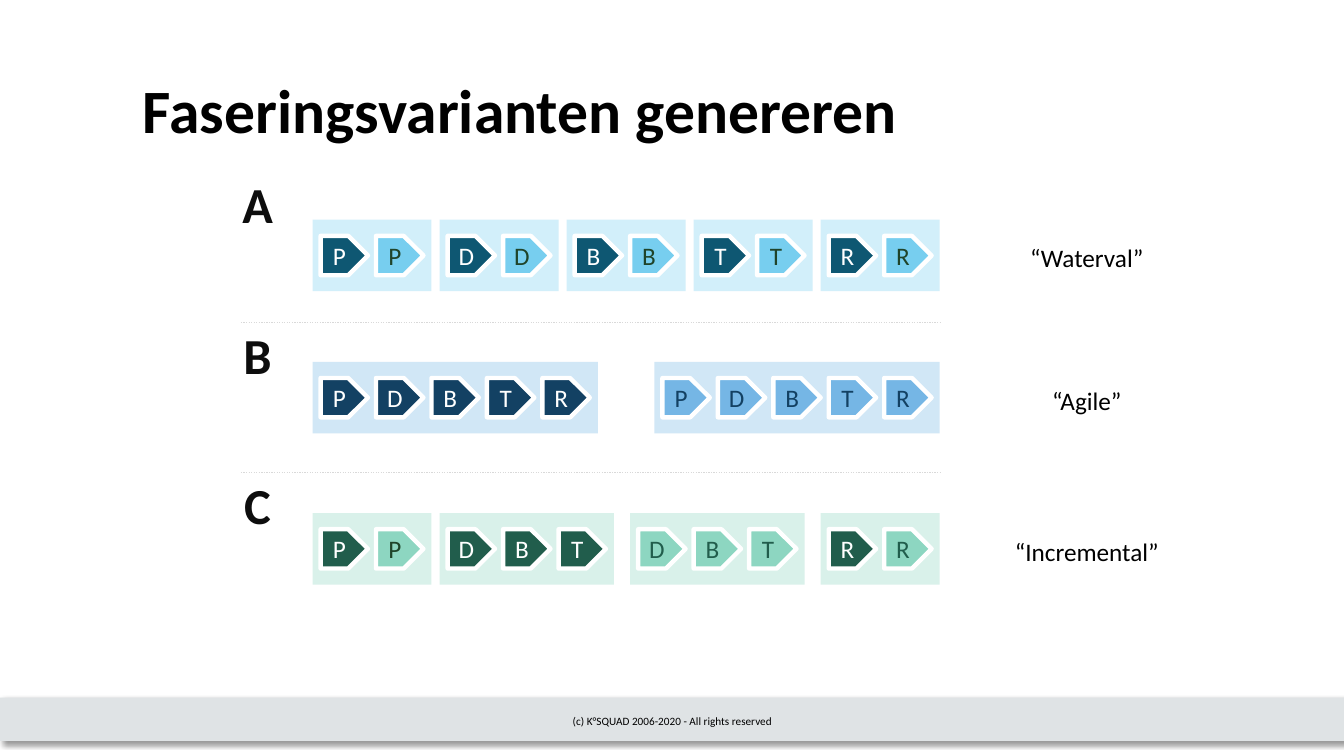
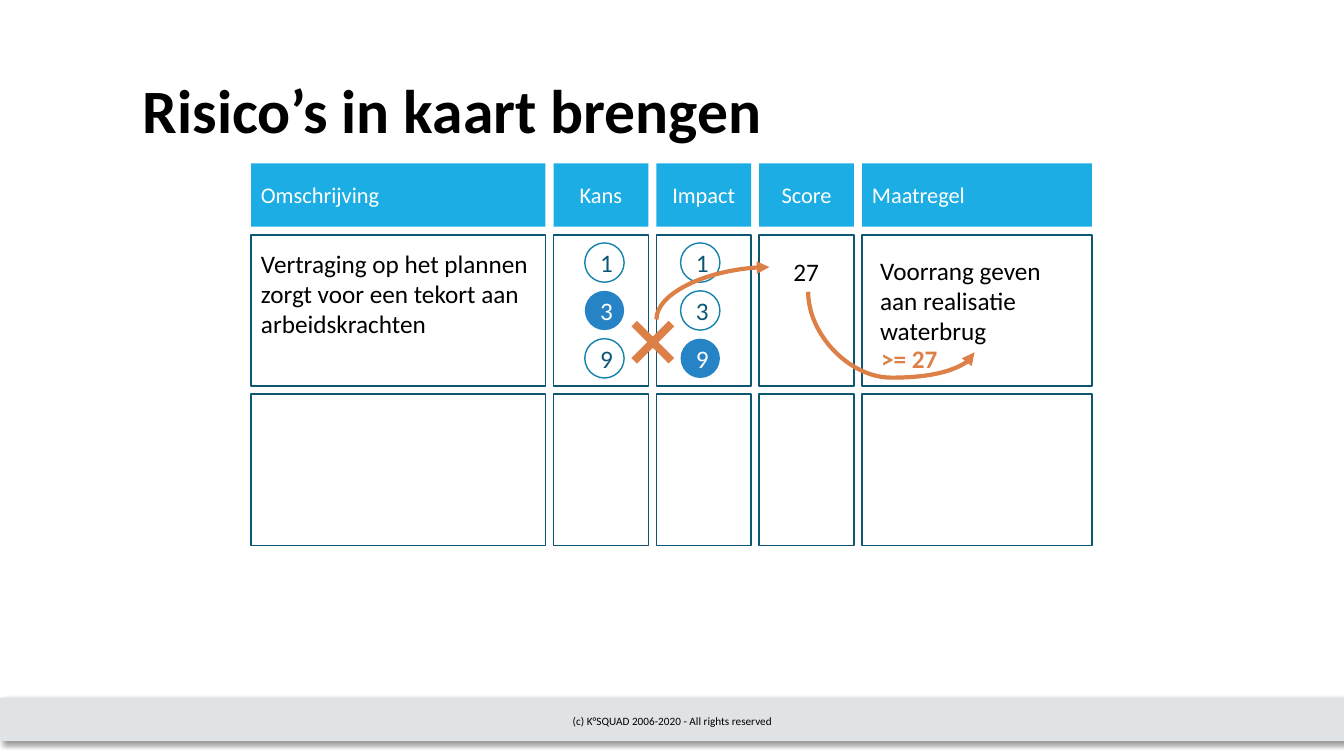
from lxml import etree
from pptx import Presentation
from pptx.dml.color import RGBColor
from pptx.enum import dml, shapes, text
from pptx.oxml import ns
from pptx.util import Inches, Pt

FONT = "Calibri"
BLACK, WHITE = "000000", "FFFFFF"
FOOTER_BAND, DIVIDER = "DFE3E5", "D9D9D9"
TEAL, SKY, ACCENT, ORANGE = "0E5772", "1CADE4", "2683C6", "DD8047"
FOREST = "1F442A"
LEFT, CENTER = text.PP_ALIGN.LEFT, text.PP_ALIGN.CENTER
TOP, MIDDLE = text.MSO_ANCHOR.TOP, text.MSO_ANCHOR.MIDDLE
SHAPE = shapes.MSO_SHAPE


def rgb(hex_color):
    return RGBColor.from_string(hex_color)


def add_xml(parent, tag, **attributes):
    return etree.SubElement(parent, ns.qn(tag), attributes)


class Deck:
    """Holds the presentation, its style and the current slide."""

    def __init__(self):
        self.prs = Presentation()
        self.prs.slide_width, self.prs.slide_height = Inches(13.33), Inches(7.5)
        self.slide = None

    def new_slide(self, title):
        self.slide = self.prs.slides.add_slide(self.prs.slide_layouts[6])
        band = self.shape(SHAPE.RECTANGLE, 0, 6.92, 13.33, 0.43, fill=FOOTER_BAND)
        shadow = add_xml(band._element.spPr.find(ns.qn("a:effectLst")), "a:outerShdw",
                         blurRad=str(Pt(4)), dist=str(Pt(3)), dir="2700000",
                         algn="tl", rotWithShape="0")
        add_xml(add_xml(shadow, "a:srgbClr", val=BLACK), "a:alpha", val="40000")
        heading = self.label(title, 1.32, 0.4, 11.1, 1.45, size=44, bold=True, anchor=MIDDLE)
        heading.text_frame.paragraphs[0].line_spacing = 0.9
        self.label("(c) K°SQUAD 2006-2020 - All rights reserved", 4.42, 6.95, 4.5, 0.4,
                   size=8, align=CENTER, anchor=MIDDLE)

    def set_text(self, item, words, size, color, bold=False, align=LEFT, anchor=TOP,
                 inset=0.1, wrap=True):
        frame = item.text_frame
        frame.text = words
        frame.word_wrap = wrap
        frame.vertical_anchor = anchor
        frame.margin_left = frame.margin_right = Inches(inset)
        paragraph = frame.paragraphs[0]
        paragraph.alignment = align
        for run in paragraph.runs:
            run.font.name, run.font.size, run.font.bold = FONT, Pt(size), bold
            run.font.color.rgb = rgb(color)

    def label(self, words, left, top, width, height=0.4, size=18, color=BLACK, **style):
        box = self.slide.shapes.add_textbox(*map(Inches, (left, top, width, height)))
        self.set_text(box, words, size, color, **style)
        return box

    def shape(self, kind, left, top, width, height, fill=None, line=None, weight=1):
        item = self.slide.shapes.add_shape(kind, *map(Inches, (left, top, width, height)))
        item.shadow.inherit = False
        if fill:
            item.fill.solid()
            item.fill.fore_color.rgb = rgb(fill)
        else:
            item.fill.background()
        if line:
            item.line.color.rgb = rgb(line)
            item.line.width = Pt(weight)
        else:
            item.line.fill.background()
        return item

    def phase(self, letter, left, top, fill, ink):
        arrow = self.shape(SHAPE.PENTAGON, left, top, 0.47, 0.39, fill, WHITE, 3.15)
        self.set_text(arrow, letter, 18, ink, align=CENTER, anchor=MIDDLE, inset=0)

    def phase_group(self, letters, left, top, band, dark, light, light_ink):
        """Draw a band of phases; capitals are dark phases, small letters light ones."""
        pad, width, step = 0.08, 0.47, 0.55
        self.shape(SHAPE.RECTANGLE, left, top,
                   2 * pad + width + step * (len(letters) - 1), 0.71, band)
        for i, letter in enumerate(letters):
            fill, ink = (dark, WHITE) if letter.isupper() else (light, light_ink)
            self.phase(letter.upper(), left + pad + step * i, top + 0.16, fill, ink)

    def circle(self, words, left, top, chosen):
        fill, line, ink = (ACCENT, None, WHITE) if chosen else (WHITE, "1482AC", TEAL)
        disc = self.shape(SHAPE.OVAL, left, top, 0.39, 0.39, fill, line)
        self.set_text(disc, words, 18, ink, align=CENTER, anchor=MIDDLE, inset=0)
        disc.text_frame.margin_left = Inches(0.04)

    def line(self, start, end, color, weight, kind=shapes.MSO_CONNECTOR.STRAIGHT):
        link = self.slide.shapes.add_connector(kind, *map(Inches, (*start, *end)))
        link.line.color.rgb = rgb(color)
        link.line.width = Pt(weight)
        add_xml(link._element.spPr, "a:effectLst")
        return link

    def curved_arrow(self, start, end, turn, preset, bend=None):
        """Draw a curve whose box, given before rotation, is turned by some degrees."""
        arrow = self.line(start, end, ORANGE, 3, shapes.MSO_CONNECTOR.CURVE)
        props = arrow._element.spPr
        props.find(ns.qn("a:xfrm")).set("rot", str(turn * 60000))
        geometry = props.find(ns.qn("a:prstGeom"))
        geometry.set("prst", preset)
        if bend:
            add_xml(geometry.find(ns.qn("a:avLst")), "a:gd", name="adj1",
                    fmla=f"val {round(bend * 100000)}")
        add_xml(props.find(ns.qn("a:ln")), "a:tailEnd", type="triangle")


def phasing_slide(deck):
    deck.new_slide("Faseringsvarianten genereren")
    variants = [
        ("A", "“Waterval”", 1.7, 2.18, ("D2EFFA", TEAL, "77CEEF"),
         [(pair, 3.1 + 1.26 * i, FOREST)
          for i, pair in enumerate(("Pp", "Dd", "Bb", "Tt", "Rr"))]),
        ("B", "“Agile”", 3.2, 3.59, ("D1E7F6", "134163", "75B6E5"),
         [("PDBTR", 3.1, "134163"), ("pdbtr", 6.49, "134163")]),
        ("C", "“Incremental”", 4.69, 5.09, ("D9F1EA", "215D4C", "8DD6C1"),
         [("Pp", 3.1, FOREST), ("DBT", 4.36, "215D4C"),
          ("dbt", 6.25, "215D4C"), ("Rr", 8.14, "215D4C")]),
    ]
    for letter, name, row_top, band_top, colors, groups in variants:
        if letter != "A":
            divider = deck.line((2.39, row_top), (9.32, row_top), DIVIDER, 0.9)
            divider.line.dash_style = dml.MSO_LINE.ROUND_DOT
        deck.label(letter, 2.24, row_top, 0.63, 0.63, size=36, bold=True, color="0D0D0D",
                   align=CENTER, anchor=MIDDLE, inset=0)
        for letters, left, light_ink in groups:
            deck.phase_group(letters, left, band_top, *colors, light_ink)
        deck.label(name, 9.96, band_top + 0.18, 1.64, align=CENTER, wrap=False)


def risk_slide(deck):
    deck.new_slide("Risico’s in kaart brengen")
    columns = [("Omschrijving", 2.92, LEFT), ("Kans", 0.94, CENTER), ("Impact", 0.94, CENTER),
               ("Score", 0.94, CENTER), ("Maatregel", 2.28, LEFT)]
    gap, left = 0.08, 2.49
    for name, width, align in columns:
        header = deck.shape(SHAPE.RECTANGLE, left, 1.62, width, 0.63, SKY)
        deck.set_text(header, name, 16, WHITE, align=align, anchor=MIDDLE)
        for row in range(2):
            deck.shape(SHAPE.RECTANGLE, left, 2.33 + row * (1.5 + gap), width, 1.5, line=TEAL)
        left += width + gap

    for circle_left, score in ((5.8, "3"), (6.75, "9")):
        for i, value in enumerate("139"):
            deck.circle(value, circle_left, 2.41 + 0.475 * i, chosen=value == score)

    deck.label("Vertraging op het plannen zorgt voor een tekort aan arbeidskrachten",
               2.49, 2.41, 2.91, 1.01)
    deck.label("Voorrang geven aan realisatie waterbrug", 8.63, 2.48, 2.05, 1.01)
    deck.label("27", 7.77, 2.49, 0.46, wrap=False)
    times = deck.shape(SHAPE.MATH_MULTIPLY, 6.12, 3.04, 0.71, 0.71, ORANGE)
    times.adjustments[0] = 0.11
    deck.curved_arrow((7.33, 3.47), (6.81, 2.35), 90, "curvedConnector2")
    deck.curved_arrow((9.14, 2.37), (8.54, 4.02), 270, "curvedConnector3", bend=1.42)
    deck.label(">= 27", 8.64, 3.36, 0.77, color=ORANGE, bold=True, wrap=False)


def main():
    deck = Deck()
    phasing_slide(deck)
    risk_slide(deck)
    deck.prs.save("out.pptx")


if __name__ == "__main__":
    main()
